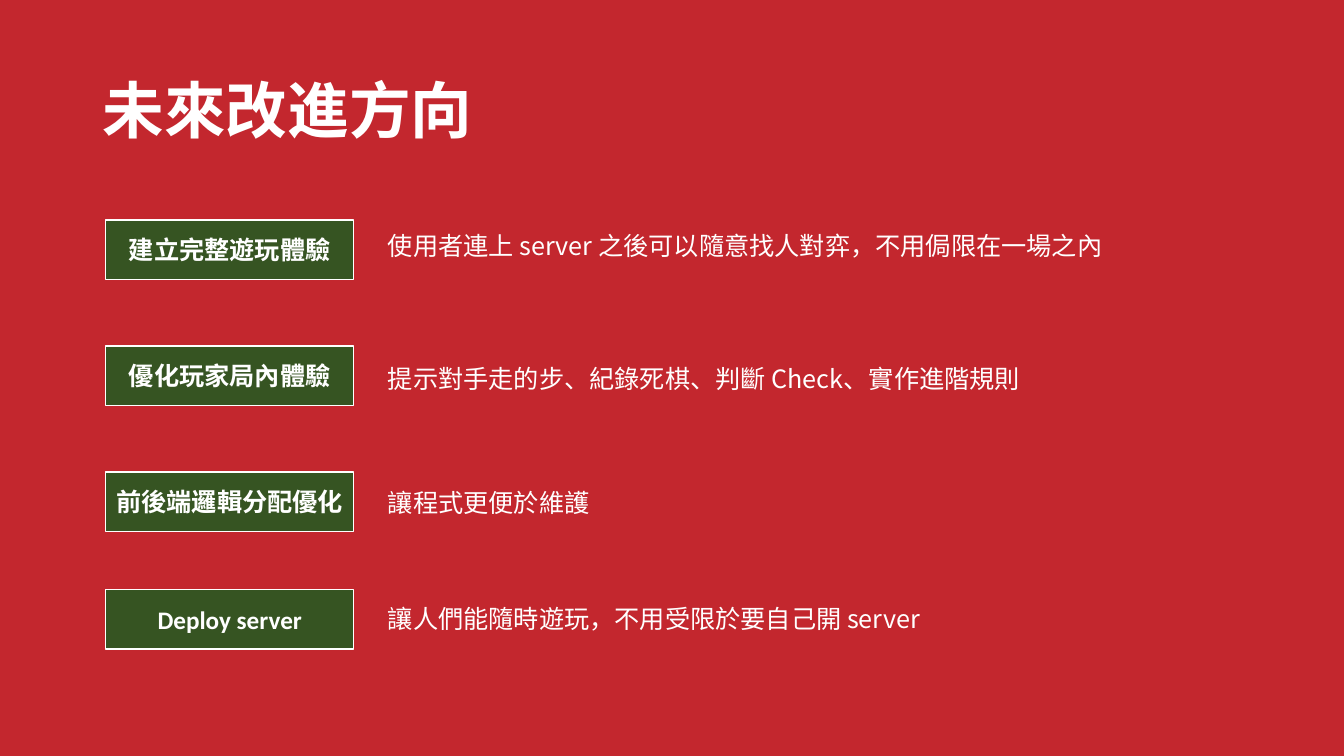
from lxml.etree import SubElement
from pptx import Presentation
from pptx.dml.color import RGBColor
from pptx.enum.shapes import MSO_SHAPE as Shape
from pptx.enum.text import MSO_ANCHOR as Anchor, MSO_AUTO_SIZE as AutoSize, PP_ALIGN as Align
from pptx.oxml.ns import qn
from pptx.util import Pt

CJK_FONT = "Noto Sans CJK TC"
TITLE_ONLY = 5


def color(hex_string):
    return RGBColor.from_string(hex_string)


class SlideBuilder:
    """Holds the style and the current slide."""

    background, label_fill, white = "C3272E", "365422", "FFFFFF"

    def __init__(self, presentation):
        self.slide = presentation.slides.add_slide(presentation.slide_layouts[TITLE_ONLY])
        fill = self.slide.background.fill
        fill.solid()
        fill.fore_color.rgb = color(self.background)

    def add_text(self, shape, text, font=CJK_FONT, size=18, bold=False, align=Align.LEFT,
                 anchor=Anchor.TOP, auto_size=AutoSize.NONE):
        frame = shape.text_frame
        frame_format = {"word_wrap": True, "vertical_anchor": anchor, "auto_size": auto_size}
        for name, value in frame_format.items():
            setattr(frame, name, value)
        paragraph = frame.paragraphs[0]
        paragraph.alignment = align
        run = paragraph.add_run()
        run.text = text
        for name, value in {"name": font, "size": Pt(size), "bold": bold}.items():
            setattr(run.font, name, value)
        run.font.color.rgb = color(self.white)
        # East Asian characters need their own typeface entry
        SubElement(run._r.get_or_add_rPr(), qn("a:ea"), typeface=CJK_FONT)
        return paragraph

    def title(self, text, left, top, width, height):
        shape = self.slide.shapes.title
        place = {"left": left, "top": top, "width": width, "height": height}
        for name, value in place.items():
            setattr(shape, name, Pt(value))
        paragraph = self.add_text(shape, text, size=44, bold=True, anchor=Anchor.MIDDLE)
        paragraph.line_spacing = 0.9

    def label(self, text, left, top, width, height, font):
        shape = self.slide.shapes.add_shape(
            Shape.RECTANGLE, Pt(left), Pt(top), Pt(width), Pt(height))
        shape.shadow.inherit = False
        shape.fill.solid()
        shape.fill.fore_color.rgb = color(self.label_fill)
        shape.line.color.rgb = color(self.white)
        shape.line.width = Pt(1)
        self.add_text(shape, text, font, bold=True, align=Align.CENTER, anchor=Anchor.MIDDLE)

    def description(self, text, left, top, width, height):
        shape = self.slide.shapes.add_textbox(Pt(left), Pt(top), Pt(width), Pt(height))
        self.add_text(shape, text, auto_size=AutoSize.SHAPE_TO_FIT_TEXT)


# Label, label font, label top, description, description top, description width
IMPROVEMENTS = [
    ("建立完整遊玩體驗", CJK_FONT, 157,
     "使用者連上 server 之後可以隨意找人對弈，不用侷限在一場之內", 161.3, 541.5),
    ("優化玩家局內體驗", CJK_FONT, 247,
     "提示對手走的步、紀錄死棋、判斷 Check、實作進階規則", 256.3, 480),
    ("前後端邏輯分配優化", CJK_FONT, 337, "讓程式更便於維護", 344.2, 480),
    ("Deploy server", "Calibri", 421.2,
     "讓人們能隨時遊玩，不用受限於要自己開 server", 427.7, 480),
]


def main():
    presentation = Presentation()
    presentation.slide_width, presentation.slide_height = Pt(960), Pt(540)
    builder = SlideBuilder(presentation)

    # Heading
    builder.title("未來改進方向", 66.2, 28.8, 828, 104.4)

    # One row per planned improvement
    for label, font, label_top, description, description_top, width in IMPROVEMENTS:
        builder.label(label, 75.6, label_top, 177.1, 42.5, font)
        builder.description(description, 270, description_top, width, 29)

    presentation.save("out.pptx")


if __name__ == "__main__":
    main()
